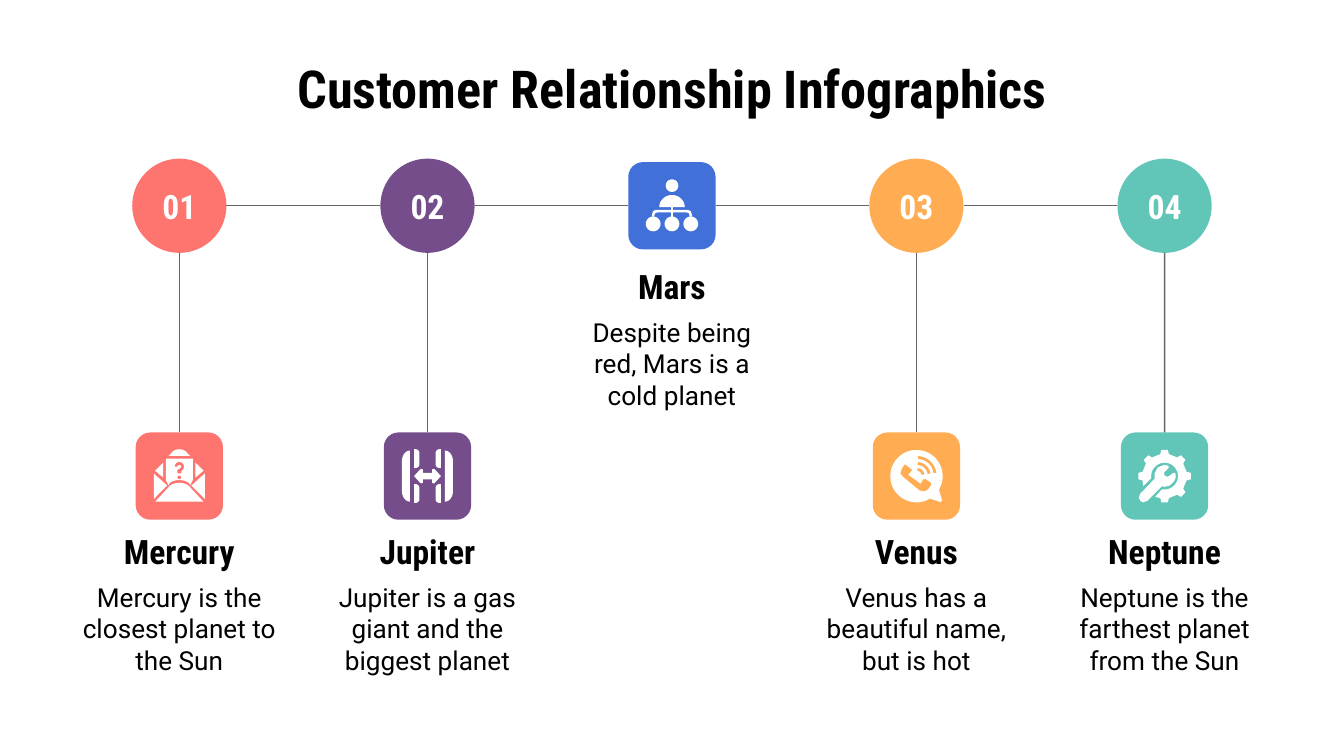
from math import cos, radians, sin

from lxml import etree
from pptx import Presentation
from pptx.dml.color import RGBColor
from pptx.enum.shapes import MSO_CONNECTOR, MSO_SHAPE
from pptx.enum.text import MSO_ANCHOR, MSO_AUTO_SIZE, PP_ALIGN
from pptx.oxml.ns import qn
from pptx.util import Cm, Pt

OVAL, TILE = MSO_SHAPE.OVAL, MSO_SHAPE.ROUNDED_RECTANGLE
STRAIGHT = MSO_CONNECTOR.STRAIGHT
TOP, MIDDLE = MSO_ANCHOR.TOP, MSO_ANCHOR.MIDDLE
CENTER, NO_FIT = PP_ALIGN.CENTER, MSO_AUTO_SIZE.NONE

TITLE = "Customer Relationship Infographics"
# number, name, description, colour, icon; the middle stage has no number
STAGES = [
    ("01", "Mercury", "Mercury is the closest planet to the Sun", "FE7570", "letter"),
    ("02", "Jupiter", "Jupiter is a gas giant and the biggest planet", "754D8A", "exchange"),
    (None, "Mars", "Despite being red, Mars is a cold planet", "4170D8", "team"),
    ("03", "Venus", "Venus has a beautiful name, but is hot", "FFAC53", "call"),
    ("04", "Neptune", "Neptune is the farthest planet from the Sun", "61C5B8", "service"),
]
THEME = {
    "white": "FFFFFF", "line": "666666", "line_width": 0.75,
    "title": {"name": "Roboto Condensed", "size": Pt(28), "bold": True, "color": "000000"},
    "number": {"name": "Roboto Condensed", "size": Pt(18), "bold": True, "color": "FFFFFF"},
    "heading": {"name": "Roboto Condensed", "size": Pt(18), "bold": True, "color": "000000"},
    "body": {"name": "Roboto", "size": Pt(14), "bold": False, "color": "000000"},
}

# Layout in centimetres
SLIDE_W, SLIDE_H = 25.4, 14.29
OFFSETS = (-9.31, -4.62, 0, 4.62, 9.31)
CENTERS = [SLIDE_W / 2 + dx for dx in OFFSETS]
TOP_Y, LOW_Y = 3.89, 9.0
CIRCLE, SQUARE = 1.78, 1.65
TEXT_W, HEAD_H, BODY_H = 4.24, 0.91, 2.08
HEAD_DY, BODY_DY = 0.78, 1.74
INSET = 0.25
ICON_UNIT = 0.0254


def arc(cx, cy, rx, ry, start, end, steps=24):
    """Points of an elliptical arc; angles in degrees, clockwise from the right."""
    angles = [radians(start + (end - start) * i / steps) for i in range(steps + 1)]
    return [(cx + rx * cos(a), cy + ry * sin(a)) for a in angles]


def circle(cx, cy, r):
    return arc(cx, cy, r, r, 0, 360)


def band(cx, cy, outer, inner, start, end):
    return arc(cx, cy, outer, outer, start, end) + arc(cx, cy, inner, inner, end, start)


def flip(points, sx=-1, sy=1):
    return [(sx * x, sy * y) for x, y in points]


def letter():
    sheet = [(-10, -13), (10, -13), (10, 3)] + arc(0, 7, 8, 4, 0, -180) + [(-10, 3)]
    hook = (arc(0, -7, 3.5, 3.5, 180, 410) + [(1.5, -3.5), (1.5, -2), (-1.5, -2), (-1.5, -4.5)]
            + arc(0, -7, 1.3, 1.3, 410, 180))
    flap = [(19, -2), (9, 7), (19, 17)]
    side = [(12, -10), (18, -4), (12, 1)]
    front = [(-18, 19)] + arc(0, 11, 9, 6, 205, 335) + [(18, 19)]
    peak = [(-8, -15)] + arc(0, -16, 6, 4, 200, 340) + [(8, -15)]
    return [[sheet, hook, circle(0, 1, 1.4)], [flap], [flip(flap)],
            [side], [flip(side)], [front], [peak]]


def exchange():
    inner = ([(-10, -20)] + arc(-9, -17, 3, 3, -90, 0) + arc(-9, -9, 3, 3, 0, 90)
             + [(-10, -6)])
    outer = arc(-13, -11, 6, 8, 270, 180) + arc(-13, 11, 6, 8, 180, 90)
    head = [(-10, 0), (-5, -5.5), (-3.5, -5), (-3.5, -2.5)]
    upper = head + flip(head)[::-1]
    arrow = upper + flip(upper, -1, -1)
    bars = [flip(inner, sx, sy) for sx in (1, -1) for sy in (1, -1)]
    return [[part] for part in [arrow, outer, flip(outer)] + bars]


def team():
    rim = [(-15, 8), (-15, 7), (-14, 4), (-12, 3)]
    under = [(11, 5), (12.5, 5.5), (13, 7), (13, 8)]
    bar = rim + flip(rim)[::-1] + under[::-1] + flip(under)
    stem = [(-1, 0), (1, 0), (1, 9), (-1, 9)]
    body = arc(0, 1, 9.5, 9, 180, 360)
    people = [circle(0, -15, 4.7)] + [circle(x, 13.5, 5.5) for x in (-14, 0, 14)]
    return [[part] for part in [bar, stem, body] + people]


def call():
    bubble = arc(0, 0, 19.5, 19.5, 59, 391, 48) + [(19, 18), (18, 19.3)]
    waves = [band(0.5, -0.5, r, r - 2.2, -88, -8) for r in (14.5, 10, 5.5)]
    handset = [(-8, -8.5), (-3.5, -5), (-3.5, -4), (-6, -1), (3, 5.5), (5, 2.5), (6.5, 2),
               (11, 5), (11, 6.5), (9, 9.5), (7, 11), (5, 11.3), (2, 10.5), (-10, 0.5),
               (-12, -2), (-11, -5.5), (-9, -8.5)]
    return [[bubble, handset] + waves]


def service():
    gear = [(-16, 7.5)]
    for tooth in range(180, 451, 45):
        for r, turn in ((16.7, -11), (19.7, -7), (19.7, 7), (16.7, 11)):
            gear += arc(0, 0, r, r, tooth + turn, tooth + turn, 1)[:1]
    gear += [(-7, 15.5)] + arc(0, 0, 10, 10, 461, 171)
    wrench = [(-7.5, 2), (-18, 13), (-19.3, 16), (-18, 18.5), (-16, 19.5), (-13, 18.5),
              (-2, 7.5), (0, 8), (4, 7), (7, 4), (8.3, 1), (8, -2.5), (6.5, -2.5),
              (4, -0.5), (2, 0.5), (0, -0.5), (-0.5, -2.5), (3, -6), (3, -7.5),
              (0, -8.5), (-5, -6.5), (-7.5, -2)]
    return [[gear], [wrench]]


ICONS = {"letter": letter, "exchange": exchange, "team": team, "call": call,
         "service": service}


def paint(sp, color):
    sp.shadow.inherit = False
    sp.fill.solid()
    sp.fill.fore_color.rgb = RGBColor.from_string(color)
    sp.line.fill.background()


def write(sp, text, style, anchor):
    tf = sp.text_frame
    settings = {"word_wrap": True, "auto_size": NO_FIT, "vertical_anchor": anchor}
    settings.update({f"margin_{side}": Cm(INSET) for side in ("left", "top", "right", "bottom")})
    for key, value in settings.items():
        setattr(tf, key, value)
    p = tf.paragraphs[0]
    p.alignment = CENTER
    r = p.add_run()
    r.text = text
    for key, value in THEME[style].items():
        if key == "color":
            r.font.color.rgb = RGBColor.from_string(value)
        else:
            setattr(r.font, key, value)


def add_centered(shapes, kind, cx, cy, size, color):
    sp = shapes.add_shape(kind, Cm(cx - size / 2), Cm(cy - size / 2), Cm(size), Cm(size))
    paint(sp, color)
    return sp


def add_text(shapes, cx, y, h, text, style):
    sp = shapes.add_textbox(Cm(cx - TEXT_W / 2), Cm(y), Cm(TEXT_W), Cm(h))
    write(sp, text, style, TOP)


def add_icon(shapes, name, cx, cy):
    group = shapes.add_group_shape()
    for outline in ICONS[name]():
        contours = [[(Cm(cx + x * ICON_UNIT), Cm(cy + y * ICON_UNIT)) for x, y in contour]
                    for contour in outline]
        builder = group.shapes.build_freeform(*contours[0][0])
        for i, contour in enumerate(contours):
            if i:
                builder.move_to(*contour[0])
            builder.add_line_segments(contour[1:], close=True)
        paint(builder.convert_to_shape(), THEME["white"])


def add_line(shapes, x1, y1, x2, y2):
    line = shapes.add_connector(STRAIGHT, Cm(x1), Cm(y1), Cm(x2), Cm(y2))
    line.line.color.rgb = RGBColor.from_string(THEME["line"])
    line.line.width = Pt(THEME["line_width"])
    etree.SubElement(line._element.spPr, qn("a:effectLst"))
    return line


prs = Presentation()
prs.slide_width, prs.slide_height = Cm(SLIDE_W), Cm(SLIDE_H)
s = prs.slides.add_slide(prs.slide_layouts[5])
title = s.shapes.title
title.left, title.top, title.width, title.height = Cm(1.27), Cm(1.14), Cm(22.86), Cm(1.04)
write(title, TITLE, "title", MIDDLE)

tiles = []
for cx, (number, name, text, color, icon) in zip(CENTERS, STAGES):
    y = LOW_Y if number else TOP_Y
    tiles.append(add_centered(s.shapes, TILE, cx, y, SQUARE, color))
    add_icon(s.shapes, icon, cx, y)
    head_y = y + HEAD_DY if number else y + HEAD_DY + 0.1
    add_text(s.shapes, cx, head_y, HEAD_H, name, "heading")
    add_text(s.shapes, cx, head_y + BODY_DY - HEAD_DY, BODY_H, text, "body")
    if number:
        badge = add_centered(s.shapes, OVAL, cx, TOP_Y, CIRCLE, color)
        write(badge, number, "number", MIDDLE)
        drop = add_line(s.shapes, cx, TOP_Y + CIRCLE / 2, cx, LOW_Y - SQUARE / 2)
        drop.end_connect(tiles[-1], 0)

half = [(CIRCLE if stage[0] else SQUARE) / 2 for stage in STAGES]
for i in range(len(STAGES) - 1):
    link = add_line(s.shapes, CENTERS[i] + half[i], TOP_Y, CENTERS[i + 1] - half[i + 1], TOP_Y)
    if not STAGES[i][0]:
        link.begin_connect(tiles[i], 3)
    if not STAGES[i + 1][0]:
        link.end_connect(tiles[i + 1], 1)

prs.save("out.pptx")
